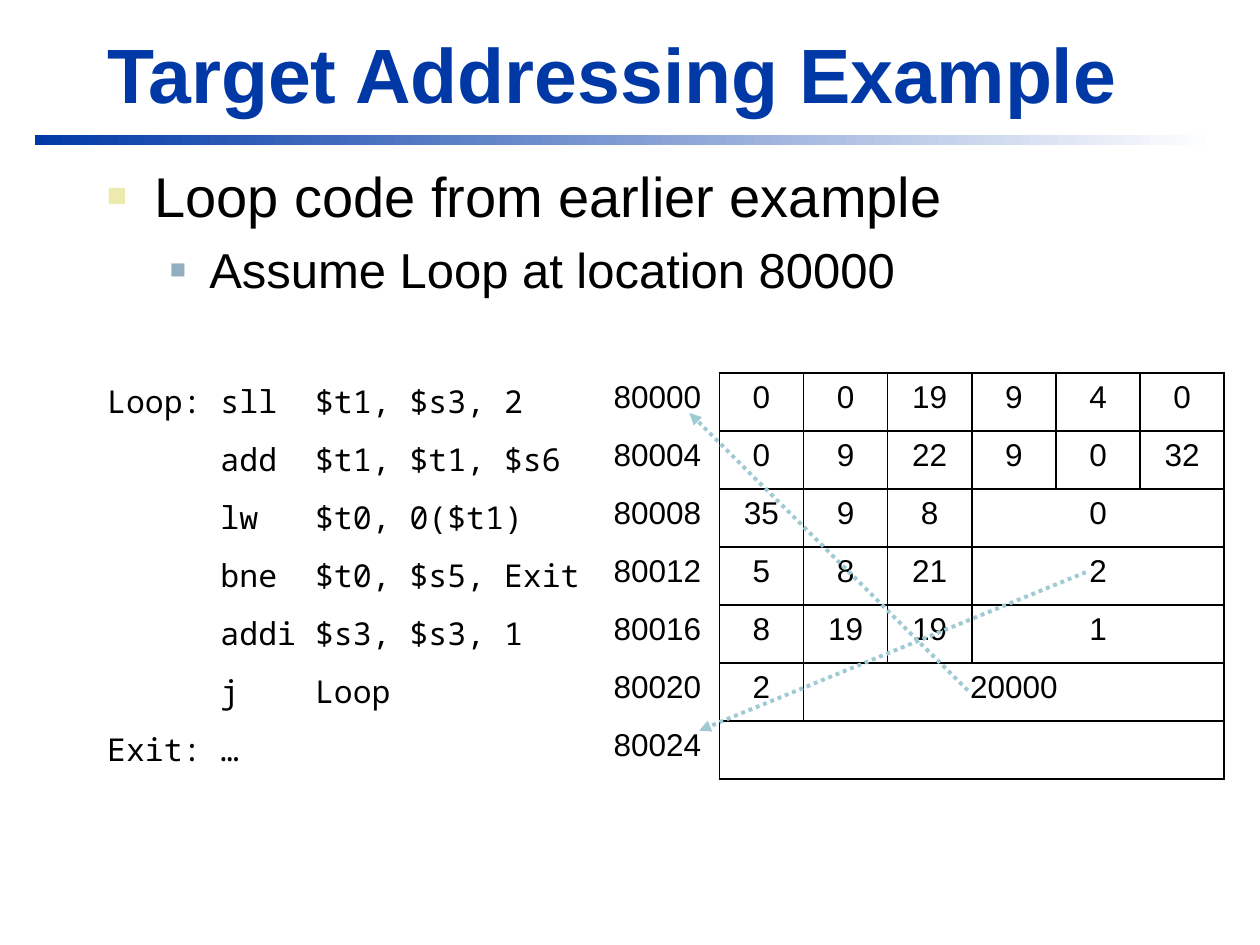
from dataclasses import dataclass

from pptx import Presentation
from pptx.dml.color import RGBColor
from pptx.enum.dml import MSO_LINE
from pptx.enum.shapes import MSO_CONNECTOR, MSO_SHAPE
from pptx.enum.text import MSO_ANCHOR, PP_ALIGN
from pptx.oxml.ns import qn
from pptx.slide import Slide
from pptx.table import _Cell
from pptx.text.text import _Paragraph
from pptx.util import Pt
from lxml import etree

LEFT, CENTER = PP_ALIGN.LEFT, PP_ALIGN.CENTER
TOP, BOTTOM = MSO_ANCHOR.TOP, MSO_ANCHOR.BOTTOM
RECTANGLE = MSO_SHAPE.RECTANGLE
STRAIGHT = MSO_CONNECTOR.STRAIGHT
DOTTED = MSO_LINE.ROUND_DOT  # stored as sysDot
TITLE_ONLY = 5


@dataclass(frozen=True)
class Theme:
    font: str = "Arial"
    code_font: str = "Noto Sans Mono"
    title_size: float = 44
    table_size: float = 18
    title: str = "0039A6"
    text: str = "000000"
    white: str = "FFFFFF"
    arrow: str = "9FCAD3"


@dataclass(frozen=True)
class Bullet:
    text: str
    level: int
    size: float
    margin: float
    hanging: float
    color: str
    percent: int
    space_before: float


@dataclass(frozen=True)
class Instruction:
    code: str
    address: str
    fields: tuple[str, ...]  # the last field fills the rest of the row


@dataclass(frozen=True)
class Arrow:
    start: tuple[float, float]
    end: tuple[float, float]


THEME = Theme()
BULLETS = (
    Bullet("Loop code from earlier example", 0, 32, 27, 27, "ECEAAC", 60, 0),
    Bullet("Assume Loop at location 80000", 1, 28, 58.5, 22.5, "91AFBF", 55, 6.5),
)
INSTRUCTIONS = (
    Instruction("Loop: sll  $t1, $s3, 2", "80000", ("0", "0", "19", "9", "4", "0")),
    Instruction("      add  $t1, $t1, $s6", "80004", ("0", "9", "22", "9", "0", "32")),
    Instruction("      lw   $t0, 0($t1)", "80008", ("35", "9", "8", "0")),
    Instruction("      bne  $t0, $s5, Exit", "80012", ("5", "8", "21", "2")),
    Instruction("      addi $s3, $s3, 1", "80016", ("8", "19", "19", "1")),
    Instruction("      j    Loop", "80020", ("2", "20000")),
    Instruction("Exit: …", "80024", ("",)),
)
COLUMN_WIDTHS = (289.4, 67.7) + (48.1,) * 6
ROW_HEIGHT = 33.15
ARROWS = (
    Arrow((553, 394.5), (394, 236)),  # jump back to Loop
    Arrow((620.5, 327), (399.5, 417.5)),  # branch to Exit
)


def style(paragraph: _Paragraph, size: float, color: str, font: str = THEME.font,
          bold: bool = False) -> None:
    for run in paragraph.runs:
        run.font.name = font
        run.font.size = Pt(size)
        run.font.bold = bold
        run.font.color.rgb = RGBColor.from_string(color)


def add_title(slide: Slide, text: str) -> None:
    title = slide.shapes.title
    title.left, title.top, title.width, title.height = Pt(54), Pt(11.5), Pt(650), Pt(60)
    frame = title.text_frame
    frame.text = text
    frame.vertical_anchor = BOTTOM
    frame.paragraphs[0].alignment = LEFT
    style(frame.paragraphs[0], THEME.title_size, THEME.title, bold=True)


def add_title_rule(slide: Slide) -> None:
    rule = slide.shapes.add_shape(RECTANGLE, Pt(19.75), Pt(77), Pt(674.5), Pt(5.75))
    rule.shadow.inherit = False
    rule.line.fill.background()
    rule.fill.gradient()
    rule.fill.gradient_angle = 0
    for stop, color, position in zip(rule.fill.gradient_stops,
                                     (THEME.title, THEME.white), (0, 1)):
        stop.color.rgb = RGBColor.from_string(color)
        stop.position = position


def add_bullets(slide: Slide, bullets: tuple[Bullet, ...]) -> None:
    frame = slide.shapes.add_textbox(Pt(54), Pt(88.5), Pt(651.5), Pt(96.5)).text_frame
    frame.word_wrap = True
    frame.text = "\n".join(bullet.text for bullet in bullets)
    for paragraph, bullet in zip(frame.paragraphs, bullets):
        paragraph.level = bullet.level
        paragraph.space_before = Pt(bullet.space_before)
        properties = paragraph._p.get_or_add_pPr()
        properties.set("marL", str(Pt(bullet.margin)))
        properties.set("indent", str(-Pt(bullet.hanging)))
        color = etree.SubElement(properties, qn("a:buClr"))
        etree.SubElement(color, qn("a:srgbClr"), val=bullet.color)
        etree.SubElement(properties, qn("a:buSzPct"), val=str(bullet.percent * 1000))
        etree.SubElement(properties, qn("a:buFont"), typeface=THEME.font)
        etree.SubElement(properties, qn("a:buChar"), char="■")
        style(paragraph, bullet.size, THEME.text)


def format_cell(cell: _Cell, column: int) -> None:
    """Code and addresses have white borders; the instruction fields have black ones."""
    properties = cell._tc.get_or_add_tcPr()
    for side in ("L", "R", "T", "B"):
        black = column > 1 or (column == 1 and side == "R")
        line = etree.SubElement(properties, qn(f"a:ln{side}"), w=str(Pt(1)))
        fill = etree.SubElement(line, qn("a:solidFill"))
        etree.SubElement(fill, qn("a:srgbClr"), val=THEME.text if black else THEME.white)
    cell.fill.background()
    cell.vertical_anchor = TOP
    paragraph = cell.text_frame.paragraphs[0]
    paragraph.alignment = CENTER if column > 1 else LEFT
    style(paragraph, THEME.table_size, THEME.text,
          THEME.code_font if column == 0 else THEME.font)


def add_instruction_table(slide: Slide, instructions: tuple[Instruction, ...]) -> None:
    row_count, column_count = len(instructions), len(COLUMN_WIDTHS)
    table = slide.shapes.add_table(row_count, column_count, Pt(54), Pt(213.25),
                                   Pt(sum(COLUMN_WIDTHS)), Pt(ROW_HEIGHT * row_count)).table
    table.first_row = table.horz_banding = False
    for column, width in zip(table.columns, COLUMN_WIDTHS):
        column.width = Pt(width)
    for row, instruction in enumerate(instructions):
        table.rows[row].height = Pt(ROW_HEIGHT)
        values = (instruction.code, instruction.address, *instruction.fields)
        for column, value in enumerate(values):
            table.cell(row, column).text_frame.text = value
        for column in range(column_count):
            format_cell(table.cell(row, column), column)
        if len(values) < column_count:
            table.cell(row, len(values) - 1).merge(table.cell(row, column_count - 1))


def add_arrow(slide: Slide, arrow: Arrow) -> None:
    connector = slide.shapes.add_connector(STRAIGHT, *map(Pt, arrow.start + arrow.end))
    connector.line.color.rgb = RGBColor.from_string(THEME.arrow)
    connector.line.width = Pt(2.25)
    connector.line.dash_style = DOTTED
    etree.SubElement(connector.line._get_or_add_ln(), qn("a:tailEnd"), type="triangle")
    etree.SubElement(connector._element.spPr, qn("a:effectLst"))


def main() -> None:
    presentation = Presentation()
    presentation.slide_width, presentation.slide_height = Pt(720), Pt(540)
    slide = presentation.slides.add_slide(presentation.slide_layouts[TITLE_ONLY])

    # Heading and points
    add_title_rule(slide)
    add_title(slide, "Target Addressing Example")
    add_bullets(slide, BULLETS)

    # Encoded loop with its branch and jump targets
    add_instruction_table(slide, INSTRUCTIONS)
    for arrow in ARROWS:
        add_arrow(slide, arrow)

    presentation.save("out.pptx")


if __name__ == "__main__":
    main()
